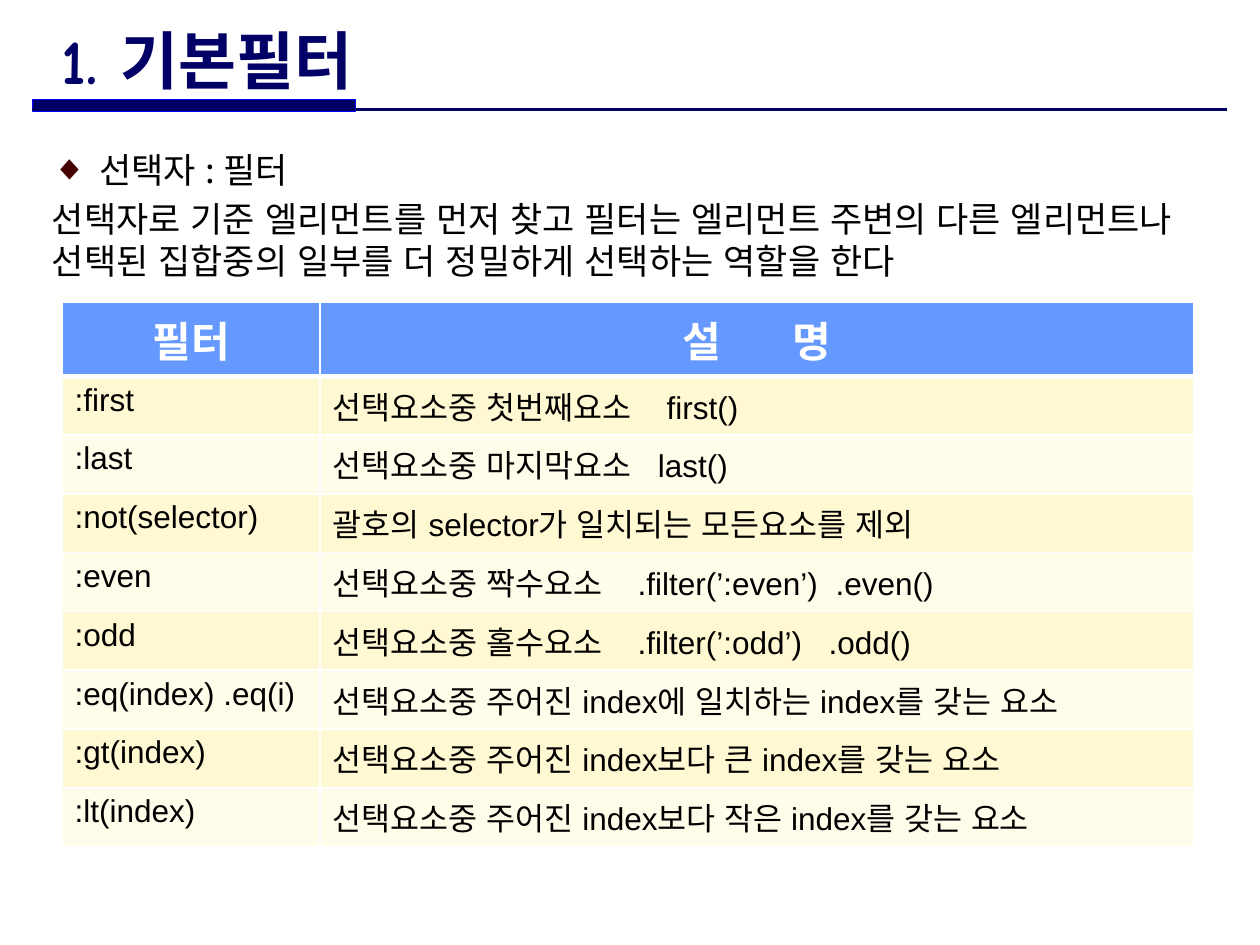
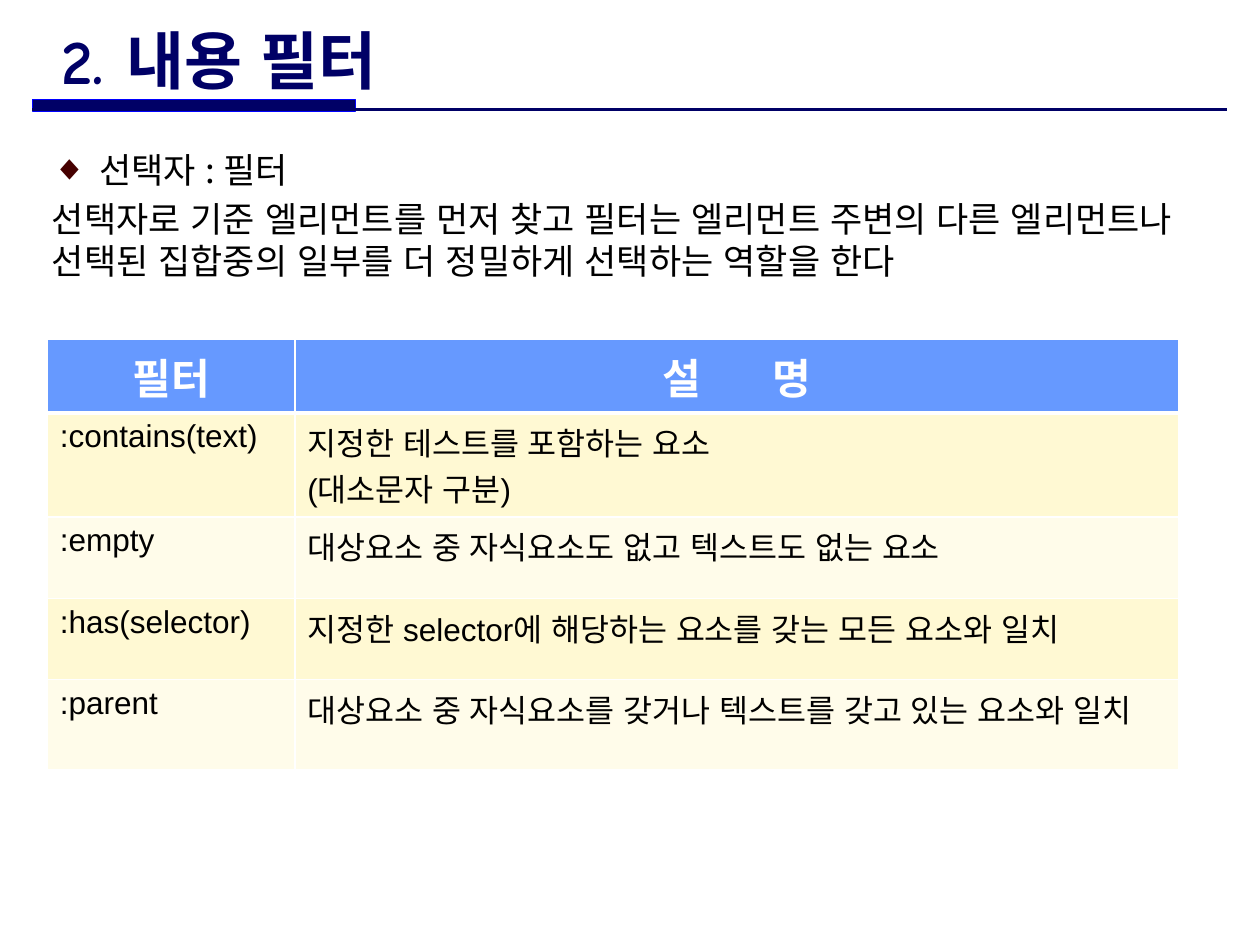
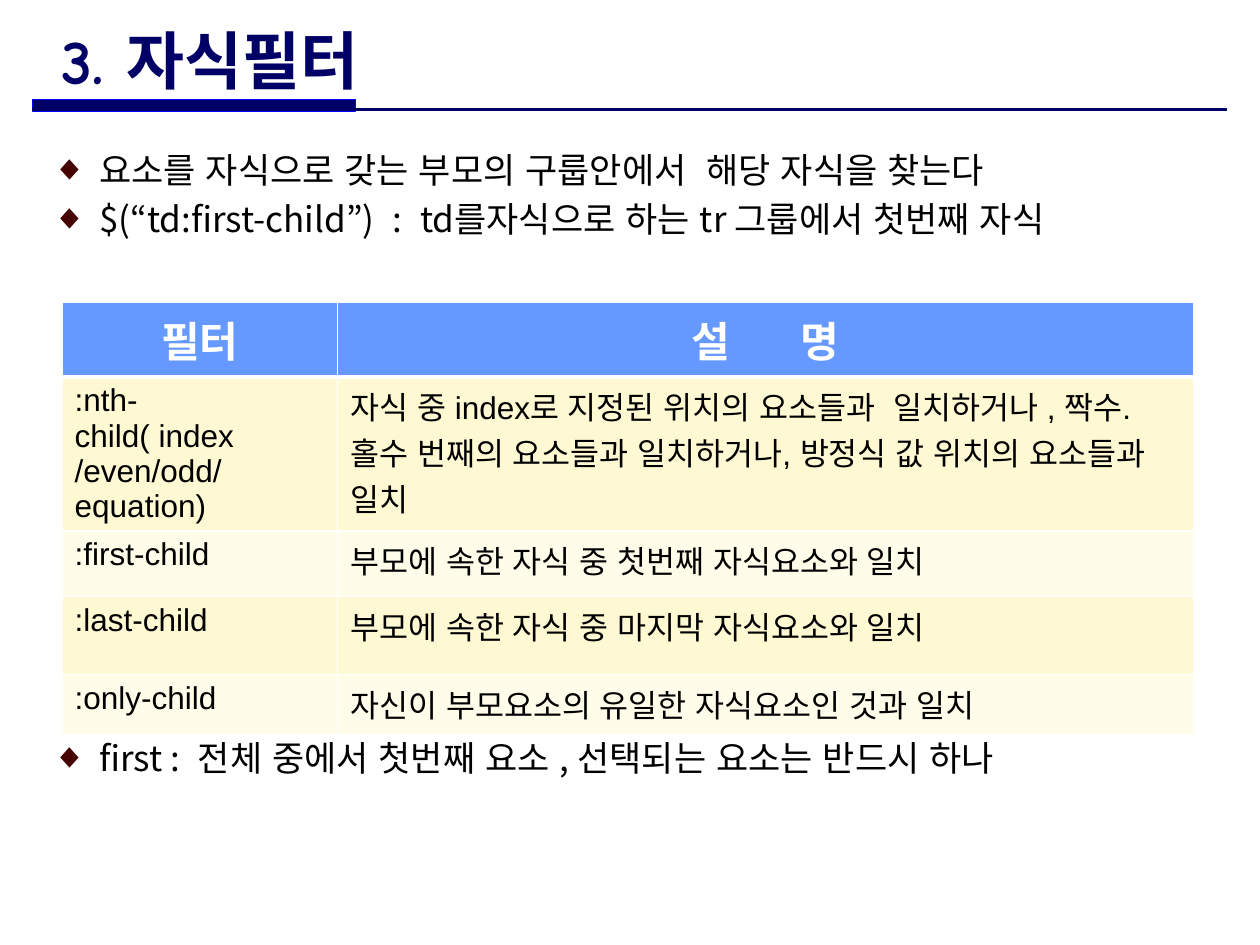
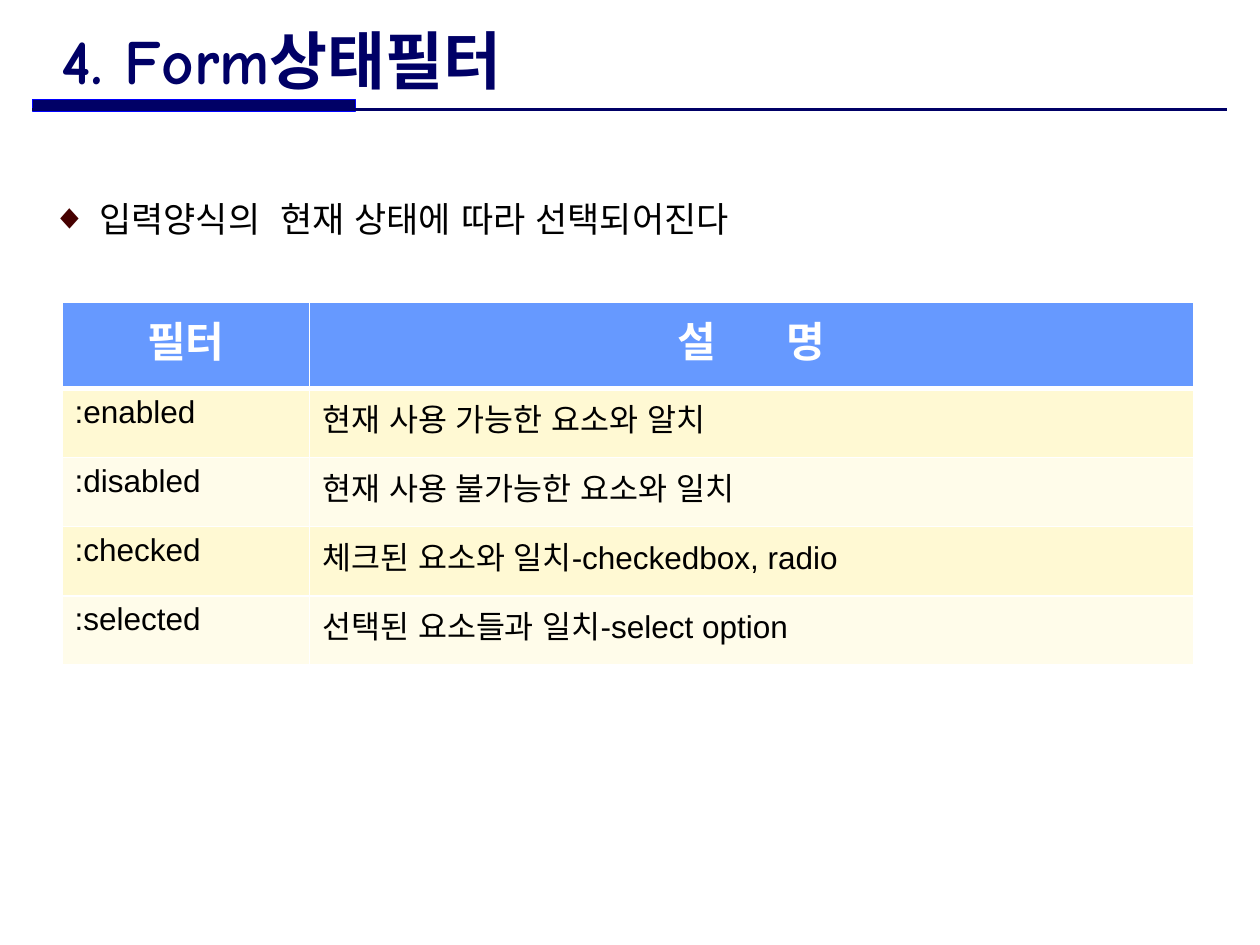
"""Four slides on selector filters, each with a title, a short list and a table."""
from itertools import groupby
from lxml.etree import SubElement as Sub
from pptx import Presentation
from pptx.dml.color import RGBColor as Rgb
from pptx.enum.shapes import MSO_CONNECTOR as Link, MSO_SHAPE as Form
from pptx.enum.text import MSO_ANCHOR as Anchor, MSO_AUTO_SIZE as Auto, PP_ALIGN as Align
from pptx.oxml.ns import qn
from pptx.util import Pt

NAVY = Rgb(0x00, 0x00, 0x66)
BLUE = Rgb(0x00, 0x00, 0xFF)
HEAD = Rgb(0x66, 0x99, 0xFF)
CREAM = Rgb(0xFF, 0xF9, 0xD3)
PALE = Rgb(0xFF, 0xFC, 0xEA)
MAROON = Rgb(0x46, 0x00, 0x00)
BLACK = Rgb(0x00, 0x00, 0x00)
WHITE = Rgb(0xFF, 0xFF, 0xFF)
KOREAN = "Noto Sans CJK KR"
LEAD = 4
WIDTH = 646.5


def write(par, text, face, size, tint, bold=False):
    """Add the text; each bar widens one space by the width of another."""
    for wide, chars in groupby(text, lambda c: c == "|"):
        chars = "".join(chars)
        run = par.add_run()
        run.text = " " if wide else chars
        font = run.font
        font.name, font.size, font.bold = face, Pt(size), bold
        font.color.rgb = tint
        props = run.font._element
        Sub(props, qn("a:ea"), typeface=KOREAN)
        props.set("lang", "ko-KR")
        if wide:
            props.set("spc", str(len(chars) * size * 28))


def edge(cell, base):
    """Give the cell white borders, with the bottom one as wide as base."""
    props = cell._tc.get_or_add_tcPr()
    for side, width in (("L", 1), ("R", 1), ("T", 1), ("B", base)):
        line = Sub(props, qn("a:ln" + side), w=str(Pt(width)))
        fill = Sub(line, qn("a:solidFill"))
        Sub(fill, qn("a:srgbClr"), val=str(WHITE))


INTRO = [
    (True, LEAD, "선택자 : 필터"),
    (False, LEAD, "선택자로 기준 엘리먼트를 먼저 찾고 필터는 엘리먼트 주변의 다른 엘리먼트나 "
     "선택된 집합중의 일부를 더 정밀하게 선택하는 역할을 한다"),
]

PAGES = [
    dict(
        title="1. 기본필터", top=81.5, items=INTRO,
        spot=(35.5, 173), split=147.5, rows=[41.5] + [33.6] * 8,
        cells=[
            (":first", "선택요소중 첫번째요소|||first()"),
            (":last", "선택요소중 마지막요소||last()"),
            (":not(selector)", "괄호의 selector가 일치되는 모든요소를 제외"),
            (":even", "선택요소중 짝수요소|||.filter(’:even’)|.even()"),
            (":odd", "선택요소중 홀수요소|||.filter(’:odd’)||.odd()"),
            (":eq(index) .eq(i)", "선택요소중 주어진 index에 일치하는 index를 갖는 요소"),
            (":gt(index)", "선택요소중 주어진 index보다 큰 index를 갖는 요소"),
            (":lt(index)", "선택요소중 주어진 index보다 작은 index를 갖는 요소"),
        ]),
    dict(
        title="2. 내용 필터", top=81.5, items=INTRO,
        spot=(27, 194), split=141.5, rows=[39, 52, 46.5, 46.5, 51.5],
        cells=[
            (":contains(text)", "지정한 테스트를 포함하는 요소\n(대소문자 구분)"),
            (":empty", "대상요소 중 자식요소도 없고 텍스트도 없는 요소"),
            (":has(selector)", "지정한 selector에 해당하는 요소를 갖는 모든 요소와 일치"),
            (":parent", "대상요소 중 자식요소를 갖거나 텍스트를 갖고 있는 요소와 일치"),
        ]),
    dict(
        title="3. 자식필터", top=81.5,
        items=[
            (True, LEAD, "요소를 자식으로 갖는 부모의 구룹안에서|해당 자식을 찾는다"),
            (True, LEAD, "$(“td:first-child”)|:|td를자식으로 하는 tr 그룹에서 첫번째 자식"),
            (True, 284, "first :|전체 중에서 첫번째 요소 , 선택되는 요소는 반드시 하나"),
        ],
        spot=(35.5, 173), split=157.5, rows=[42.5, 73.5, 37.5, 44.5, 34.5],
        cells=[
            (":nth-child( index /even/odd/ equation)",
             "자식 중 index로 지정된 위치의 요소들과|일치하거나 , 짝수. 홀수 번째의 "
             "요소들과 일치하거나, 방정식 값 위치의 요소들과 일치"),
            (":first-child", "부모에 속한 자식 중 첫번째 자식요소와 일치"),
            (":last-child", "부모에 속한 자식 중 마지막 자식요소와 일치"),
            (":only-child", "자신이 부모요소의 유일한 자식요소인 것과 일치"),
        ]),
    dict(
        title="4. Form상태필터", top=109.5,
        items=[(True, LEAD, "입력양식의|현재 상태에 따라 선택되어진다")],
        spot=(35.5, 173), split=141.5, rows=[49] + [39.5] * 4,
        cells=[
            (":enabled", "현재 사용 가능한 요소와 알치"),
            (":disabled", "현재 사용 불가능한 요소와 일치"),
            (":checked", "체크된 요소와 일치-checkedbox, radio"),
            (":selected", "선택된 요소들과 일치-select option"),
        ]),
]

deck = Presentation()
deck.slide_width, deck.slide_height = Pt(720), Pt(540)
layout = deck.slide_layouts[1]

for page in PAGES:
    slide = deck.slides.add_slide(layout)

    title = slide.shapes.title
    title.left, title.top, title.width, title.height = Pt(28), Pt(15), Pt(489), Pt(37.5)
    frame = title.text_frame
    frame.auto_size, frame.vertical_anchor = Auto.NONE, Anchor.MIDDLE
    frame.paragraphs[0].alignment = Align.LEFT
    write(frame.paragraphs[0], page["title"], "Comic Neue", 36, NAVY, True)

    body = slide.placeholders[1]
    body.left, body.top, body.width, body.height = Pt(22.5), Pt(page["top"]), Pt(679), Pt(514 - page["top"])
    frame = body.text_frame
    frame.auto_size, frame.vertical_anchor = Auto.NONE, Anchor.TOP
    for num, (mark, gap, text) in enumerate(page["items"]):
        par = frame.add_paragraph() if num else frame.paragraphs[0]
        par.alignment, par.line_spacing = Align.LEFT, Pt(24)
        par.space_before = Pt(gap if num else 0)
        props = par._p.get_or_add_pPr()
        props.set("marL", str(Pt(27) if mark else 0))
        props.set("indent", str(Pt(-27) if mark else 0))
        if mark:
            Sub(Sub(props, qn("a:buClr")), qn("a:srgbClr"), val=str(MAROON))
            Sub(props, qn("a:buChar"), char="◆")
        else:
            Sub(props, qn("a:buNone"))
        write(par, text, KOREAN, 20, BLACK)

    left, top = page["spot"]
    rows = page["rows"]
    grid = slide.shapes.add_table(len(rows), 2, Pt(left), Pt(top), Pt(WIDTH), Pt(sum(rows))).table
    grid.columns[0].width = Pt(page["split"])
    grid.columns[1].width = Pt(WIDTH - page["split"])
    for r, (high, pair) in enumerate(zip(rows, [("필터", "설|||||명")] + page["cells"])):
        grid.rows[r].height = Pt(high)
        for c, text in enumerate(pair):
            cell = grid.cell(r, c)
            edge(cell, 1 if r else 3)
            cell.fill.solid()
            cell.fill.fore_color.rgb = (CREAM if r % 2 else PALE) if r else HEAD
            for num, line in enumerate(text.split("\n")):
                par = cell.text_frame.add_paragraph() if num else cell.text_frame.paragraphs[0]
                par.alignment = Align.LEFT if r else Align.CENTER
                write(par, line, "Arial", 18 if r else 24, BLACK if r else WHITE, not r)

shapes = deck.slides[0].shapes
bar = shapes.add_shape(Form.RECTANGLE, Pt(18.5), Pt(57), Pt(184.5), Pt(6.5))
bar.shadow.inherit = False
bar.fill.solid()
bar.fill.fore_color.rgb = NAVY
bar.line.color.rgb, bar.line.width = BLUE, Pt(0.75)
rule = shapes.add_connector(Link.STRAIGHT, Pt(18.5), Pt(62.5), Pt(701), Pt(62.5))
rule.line.color.rgb, rule.line.width = NAVY, Pt(1.5)
Sub(rule.element.spPr, qn("a:effectLst"))
for num, shape in enumerate((bar, rule), 50):
    shape.element.xpath(".//p:cNvPr")[0].set("id", str(num))
    layout.shapes.element.append(shape.element)

deck.save("out.pptx")
